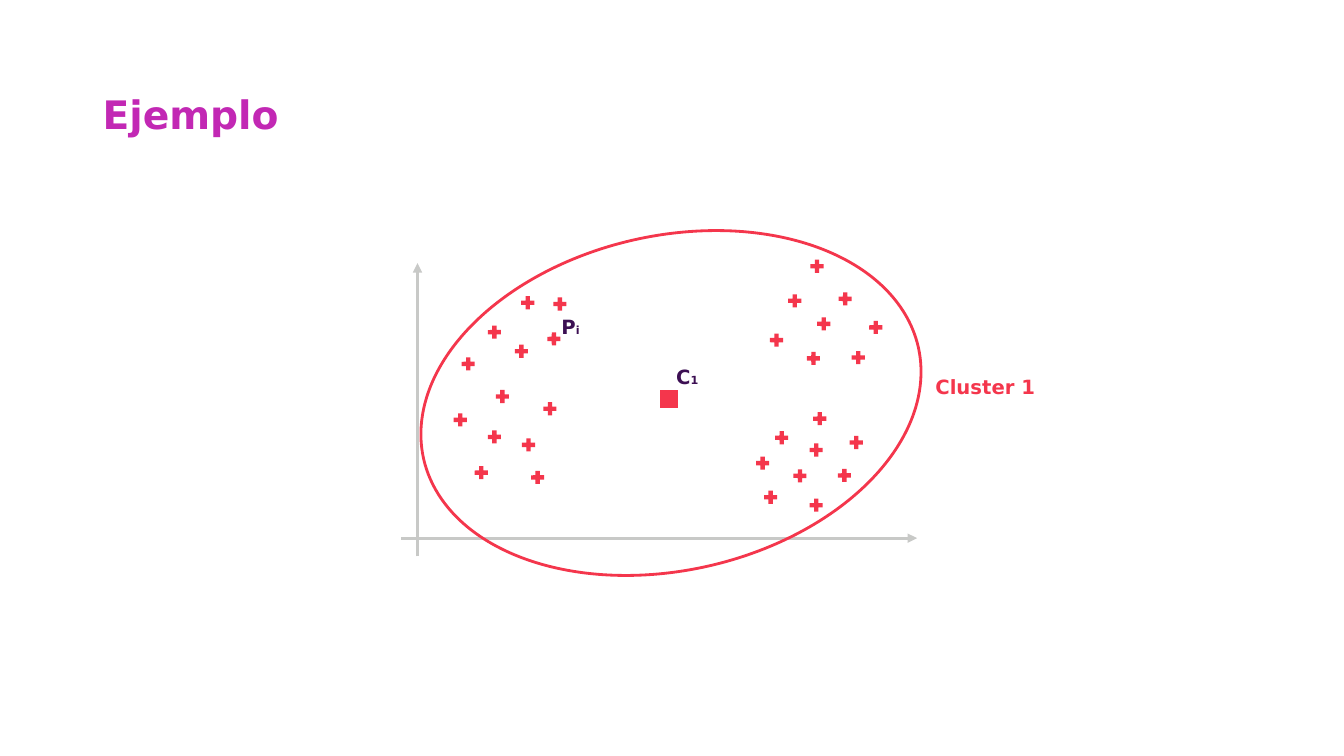
from math import cos, pi, sin

from lxml.etree import SubElement
from pptx import Presentation
from pptx.dml.color import RGBColor
from pptx.enum.shapes import MSO_CONNECTOR, MSO_SHAPE
from pptx.enum.text import MSO_ANCHOR, MSO_AUTO_SIZE, PP_ALIGN
from pptx.oxml.ns import qn
from pptx.util import Cm, Pt

FONT = "DejaVu Sans"
RED, PURPLE, DARK, GREY = "F4364C", "C228B4", "3C0F53", "C8C9C7"
ARM, HALF_WIDTH = 0.165, 0.055

POINT_GROUPS = {
    "left": [
        (13.86, 10.3), (12.46, 11.01), (13.55, 12.03), (12.13, 11.91),
        (11.6, 10.58), (12.66, 9.99), (13.32, 11.21), (11.8, 9.17),
        (13.14, 8.85), (12.46, 8.37), (13.96, 8.54), (14.11, 7.66),
        (13.3, 7.63),
    ],
    "upper right": [
        (20.59, 6.71), (21.3, 7.53), (20.03, 7.58), (20.76, 8.16),
        (22.07, 8.25), (20.5, 9.03), (21.63, 9.01), (19.57, 8.57),
    ],
    "lower right": [
        (19.22, 11.67), (19.7, 11.03), (20.16, 11.99), (19.42, 12.53),
        (20.57, 12.73), (21.28, 11.98), (20.57, 11.34), (21.58, 11.15),
        (20.66, 10.55),
    ],
}


def color(value):
    """Turn a hex string into a colour."""
    return RGBColor.from_string(value)


def style_shape(shape, fill=None, line=None, width=2):
    """Set the fill and outline of a shape and drop its shadow."""
    shape.shadow.inherit = False
    if fill:
        shape.fill.solid()
        shape.fill.fore_color.rgb = color(fill)
    else:
        shape.fill.background()
    if line:
        shape.line.color.rgb = color(line)
        shape.line.width = Pt(width)
    else:
        shape.line.fill.background()


def add_text(page, left, top, width, height, text, *, subscript="", size=14,
             hue=DARK, align=PP_ALIGN.CENTER, anchor=MSO_ANCHOR.TOP,
             side=0.13, spacing=1.0, fit=MSO_AUTO_SIZE.SHAPE_TO_FIT_TEXT):
    """Add a bold text box, with an optional small index after the text."""
    box = page.shapes.add_textbox(Cm(left), Cm(top), Cm(width), Cm(height))
    frame = box.text_frame
    frame.word_wrap = True
    frame.auto_size = fit
    frame.vertical_anchor = anchor
    frame.margin_left = frame.margin_right = Cm(side)
    frame.margin_top = frame.margin_bottom = Cm(0.13)
    para = frame.paragraphs[0]
    para.alignment = align
    para.line_spacing = spacing
    for content, points in ((text, size), (subscript, 8)):
        if content:
            span = para.add_run()
            span.text = content
            span.font.name = FONT
            span.font.size = Pt(points)
            span.font.bold = True
            span.font.color.rgb = color(hue)


def add_axis(page, start, end):
    """Add a grey axis with an arrowhead at its end."""
    axis = page.shapes.add_connector(
        MSO_CONNECTOR.STRAIGHT, *(Cm(value) for value in start + end))
    axis.line.color.rgb = color(GREY)
    axis.line.width = Pt(2.25)
    SubElement(axis.line._get_or_add_ln(), qn("a:tailEnd"), type="triangle")
    SubElement(axis._element.spPr, qn("a:effectLst"))


def add_point(page, x, y):
    """Add a data point: a diagonal cross turned upright, centred on x, y."""
    corners = []
    for turn in range(4):
        angle = pi / 4 + turn * pi / 2
        for along, across in ((ARM, -HALF_WIDTH), (ARM, HALF_WIDTH),
                              (HALF_WIDTH, HALF_WIDTH)):
            corners.append((
                Cm(x + along * cos(angle) - across * sin(angle)),
                Cm(y + along * sin(angle) + across * cos(angle))))
    builder = page.shapes.build_freeform(*corners[0])
    builder.add_line_segments(corners[1:], close=True)
    cross = builder.convert_to_shape()
    cross.rotation = 315
    style_shape(cross, fill=RED)


def add_figure(page, kind, left, top, width, height, rotation, **style):
    """Add a rotated preset shape."""
    figure = page.shapes.add_shape(
        kind, Cm(left), Cm(top), Cm(width), Cm(height))
    figure.rotation = rotation
    style_shape(figure, **style)


def main():
    """Build the clustering example slide."""
    deck = Presentation()
    deck.slide_width, deck.slide_height = Cm(33.87), Cm(19.05)
    page = deck.slides.add_slide(deck.slide_layouts[6])

    add_text(page, 2.34, 1.8, 29.21, 2.31, "Ejemplo", size=28, hue=PURPLE,
             align=PP_ALIGN.LEFT, anchor=MSO_ANCHOR.MIDDLE, side=0.25,
             spacing=0.9, fit=MSO_AUTO_SIZE.NONE)
    add_axis(page, (10.52, 14.02), (10.52, 6.63))
    add_axis(page, (10.11, 13.56), (23.11, 13.56))
    for points in POINT_GROUPS.values():
        for x, y in points:
            add_point(page, x, y)
    add_figure(page, MSO_SHAPE.OVAL, 10.52, 5.94, 12.78, 8.43, 347.3, line=RED)
    add_text(page, 23.04, 9.32, 3.58, 0.86, "Cluster 1", hue=RED)
    add_text(page, 16.76, 9.07, 1.12, 0.86, "C", subscript="1")
    add_text(page, 13.82, 7.8, 1.12, 0.86, "P", subscript="i")
    add_figure(page, MSO_SHAPE.DIAMOND, 16.54, 9.73, 0.64, 0.64, 315, fill=RED)

    deck.save("out.pptx")


if __name__ == "__main__":
    main()
